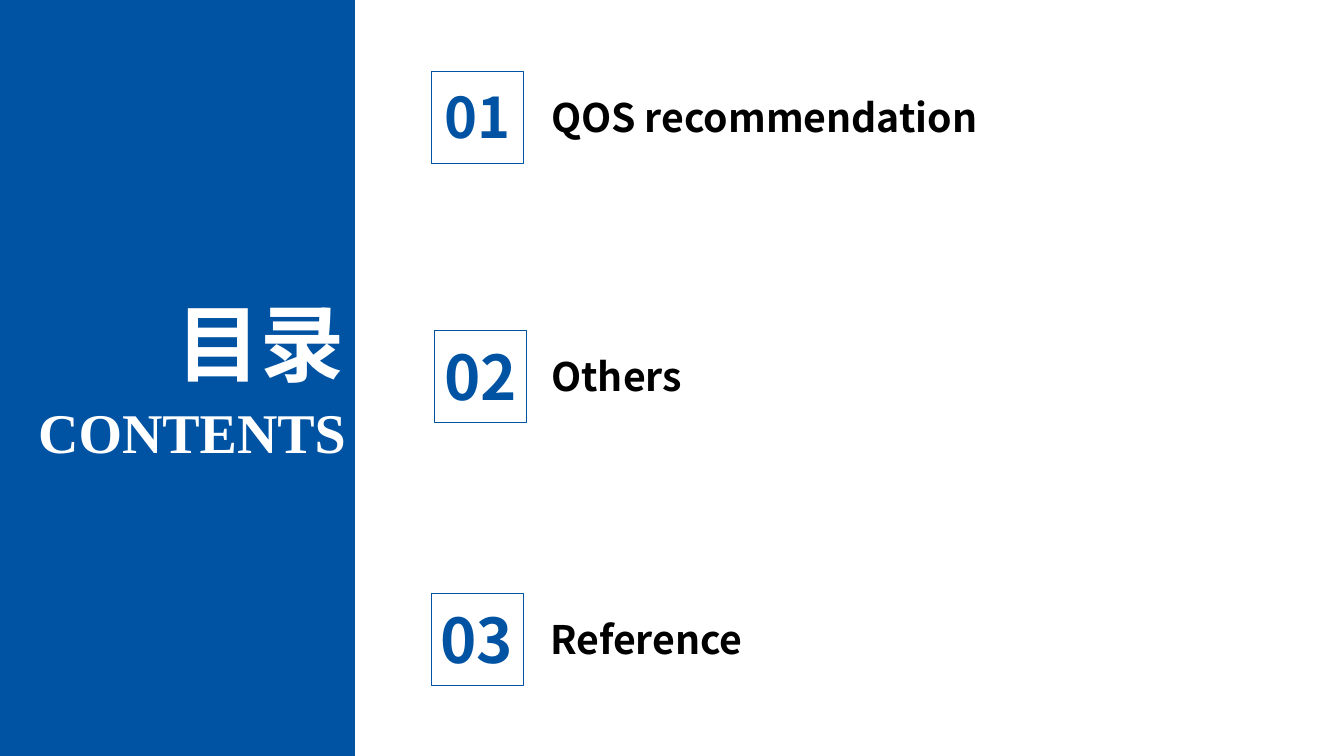
from lxml import etree
from pptx import Presentation
from pptx.dml.color import RGBColor
from pptx.enum.shapes import MSO_SHAPE
from pptx.enum.text import MSO_ANCHOR, MSO_AUTO_SIZE, PP_ALIGN
from pptx.oxml.ns import qn
from pptx.util import Inches, Pt

RECTANGLE = MSO_SHAPE.RECTANGLE
LEFT, CENTER, RIGHT = PP_ALIGN.LEFT, PP_ALIGN.CENTER, PP_ALIGN.RIGHT
TOP = MSO_ANCHOR.TOP
GROW = MSO_AUTO_SIZE.SHAPE_TO_FIT_TEXT

BLUE, WHITE, BLACK = "0053A3", "FFFFFF", "000000"
SANS, SERIF = "Noto Sans CJK SC", "Times New Roman"
TITLE = "目录"
SUBTITLE = "CONTENTS"
FRAME_SIZE = 0.91
LABEL_HEIGHT = 0.57

# Number, number size, number box, frame corner, label, label left, label width
ENTRIES = [
    ("01", 40, (4.28, 0.77, 0.91, 0.77), (4.28, 0.71), "QOS recommendation", 5.37, 4.73),
    ("02", 44, (4.28, 3.31, 0.98, 0.84), (4.31, 3.28), "Others", 5.37, 2.62),
    ("03", 44, (4.24, 5.92, 0.98, 0.84), (4.28, 5.89), "Reference", 5.36, 2.62),
]


def color(hex_value):
    return RGBColor.from_string(hex_value)


def place(shape, box):
    shape.left, shape.top, shape.width, shape.height = map(Inches, box)


def write(shape, text, size, font=SANS, fill=BLACK, align=LEFT):
    frame = shape.text_frame
    frame.word_wrap = True
    frame.auto_size = GROW
    frame.vertical_anchor = TOP
    paragraph = frame.paragraphs[0]
    paragraph.alignment = align
    run = paragraph.add_run()
    run.text = text
    run.font.size = Pt(size)
    run.font.bold = True
    run.font.color.rgb = color(fill)
    run.font.name = font
    east_asian = etree.SubElement(run.font._element, qn("a:ea"))
    east_asian.set("typeface", font)


def add_text(slide, box, text, size, **style):
    write(slide.shapes.add_textbox(*map(Inches, box)), text, size, **style)


def add_rectangle(slide, box, fill=None, line=None):
    shape = slide.shapes.add_shape(RECTANGLE, *map(Inches, box))
    shape.shadow.inherit = False
    if fill:
        shape.fill.solid()
        shape.fill.fore_color.rgb = color(fill)
    else:
        shape.fill.background()
    if line:
        shape.line.color.rgb = color(line)
        shape.line.width = Pt(1)
    else:
        shape.line.fill.background()
    return shape


def add_entry(slide, number, size, number_box, corner, label, label_left, label_width):
    label_top = corner[1] + (FRAME_SIZE - LABEL_HEIGHT) / 2
    add_text(slide, (label_left, label_top, label_width, LABEL_HEIGHT), label, 28)
    add_text(slide, number_box, number, size, fill=BLUE, align=CENTER)
    add_rectangle(slide, (*corner, FRAME_SIZE, FRAME_SIZE), line=BLUE)


def main():
    presentation = Presentation()
    presentation.slide_width = Inches(13.33)
    presentation.slide_height = Inches(7.5)
    slide = presentation.slides.add_slide(presentation.slide_layouts[5])

    title = slide.shapes.title
    panel = add_rectangle(slide, (0, 0, 3.52, 7.5), fill=BLUE)
    title.element.addprevious(panel.element)
    place(title, (0.98, 2.84, 2.54, 1.11))
    write(title, TITLE, 60, fill=WHITE, align=RIGHT)
    add_text(slide, (0, 3.89, 3.53, 0.77), SUBTITLE, 40,
             font=SERIF, fill=WHITE, align=RIGHT)

    for entry in ENTRIES:
        add_entry(slide, *entry)
    presentation.save("out.pptx")


if __name__ == "__main__":
    main()
